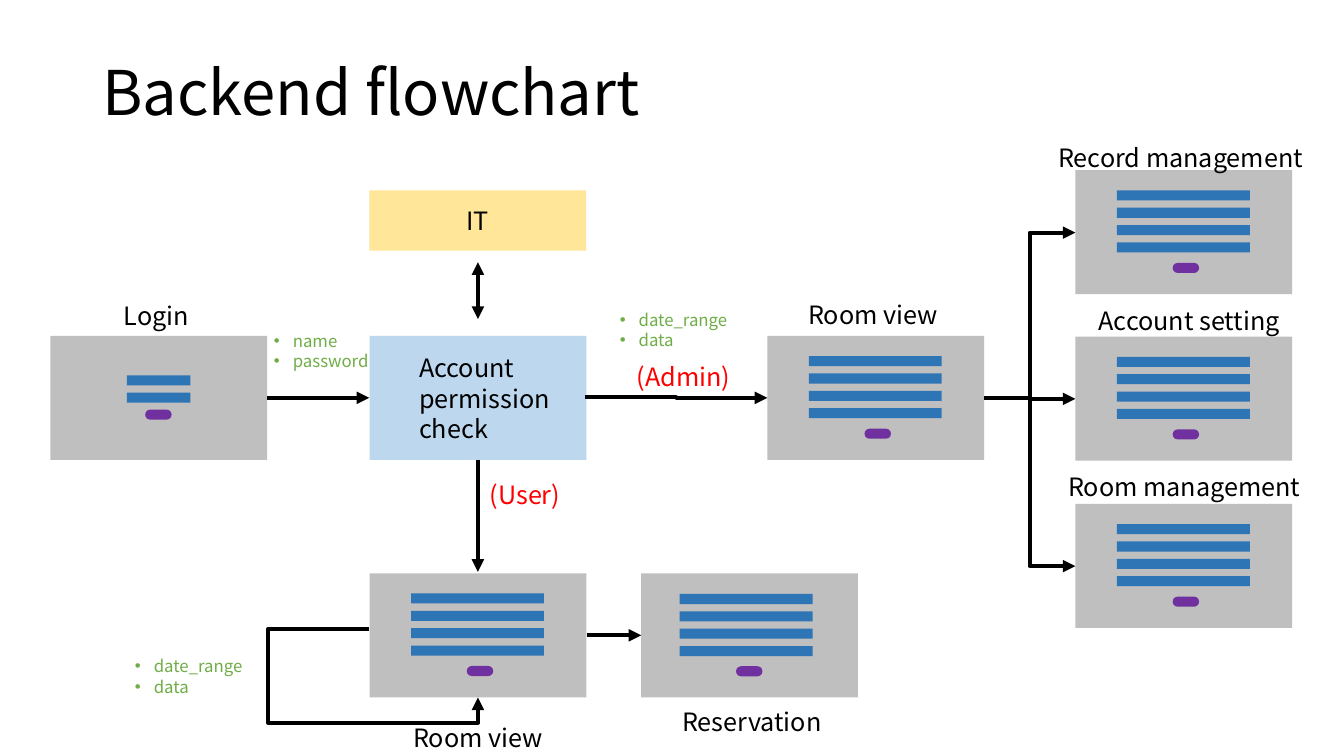
from dataclasses import dataclass

from lxml.etree import SubElement
from pptx import Presentation
from pptx.dml.color import RGBColor
from pptx.enum.shapes import MSO_CONNECTOR, MSO_SHAPE
from pptx.enum.text import MSO_ANCHOR, MSO_AUTO_SIZE, PP_ALIGN
from pptx.oxml.ns import qn
from pptx.util import Pt

FONT = "Noto Sans CJK SC"
BLACK, RED, GREEN = "000000", "FF0000", "70AD47"
GRAY, BLUE, PURPLE = "BFBFBF", "2E75B6", "7030A0"
WIDE, HIGH = 154.8, 88.6  # size of every screen
BAR, STEP = 7.2, 12.4  # height and pitch of the bars


@dataclass
class Form:
    left: float
    top: float
    width: float
    bars: int
    knob: tuple[float, float]


@dataclass
class Screen:
    left: float
    top: float
    form: Form


@dataclass
class Label:
    left: float
    top: float
    width: float
    lines: list[str]
    color: str = BLACK
    size: float = 18
    height: float = 28.8
    bullet: bool = False


@dataclass
class Arrow:
    start: tuple[float, float]
    end: tuple[float, float]
    bent: bool = False
    both: bool = False


def tint(code: str) -> RGBColor:
    return RGBColor.from_string(code)


def add_box(left: float, top: float, width: float, height: float,
            fill: str, kind=MSO_SHAPE.RECTANGLE):
    box = slide.shapes.add_shape(kind, Pt(left), Pt(top), Pt(width), Pt(height))
    box.shadow.inherit = False
    box.fill.solid()
    box.fill.fore_color.rgb = tint(fill)
    box.line.fill.background()
    return box


def add_run(para, text: str, size: float, color: str) -> None:
    run = para.add_run()
    run.text = text
    run.font.name = FONT
    run.font.size = Pt(size)
    run.font.color.rgb = tint(color)


def add_label(label: Label) -> None:
    box = slide.shapes.add_textbox(Pt(label.left), Pt(label.top),
                                   Pt(label.width), Pt(label.height))
    frame = box.text_frame
    frame.word_wrap = False
    frame.auto_size = MSO_AUTO_SIZE.SHAPE_TO_FIT_TEXT
    for i, line in enumerate(label.lines):
        para = frame.add_paragraph() if i else frame.paragraphs[0]
        add_run(para, line, label.size, label.color)
        if label.bullet:
            props = para._p.get_or_add_pPr()
            props.set("marL", str(Pt(13.5)))
            props.set("indent", str(-Pt(13.5)))
            SubElement(props, qn("a:buFont")).set("typeface", "Arial")
            SubElement(props, qn("a:buChar")).set("char", "•")


def add_screen(screen: Screen) -> None:
    form = screen.form
    add_box(screen.left, screen.top, WIDE, HIGH, GRAY)
    for i in range(form.bars):
        add_box(screen.left + form.left, screen.top + form.top + i * STEP,
                form.width, BAR, BLUE)
    right, down = form.knob
    knob = add_box(screen.left + right, screen.top + down, 18.9, BAR, PURPLE,
                   MSO_SHAPE.ROUNDED_RECTANGLE)
    knob.adjustments[0] = 0.5


def add_arrow(arrow: Arrow):
    kind = MSO_CONNECTOR.ELBOW if arrow.bent else MSO_CONNECTOR.STRAIGHT
    points = [Pt(v) for v in (*arrow.start, *arrow.end)]
    link = slide.shapes.add_connector(kind, *points)
    link.line.color.rgb = tint(BLACK)
    link.line.width = Pt(3)
    line = link.line._get_or_add_ln()
    if arrow.both:
        SubElement(line, qn("a:headEnd")).set("type", "triangle")
    SubElement(line, qn("a:tailEnd")).set("type", "triangle")
    SubElement(link._element.spPr, qn("a:effectLst"))
    return link


def add_loop(arrow: Arrow, bends: list[int]) -> None:
    geom = add_arrow(arrow)._element.spPr.find(qn("a:prstGeom"))
    geom.set("prst", "bentConnector4")
    guides = geom.find(qn("a:avLst"))
    if guides is None:
        guides = SubElement(geom, qn("a:avLst"))
    for i, bend in enumerate(bends, 1):
        guide = SubElement(guides, qn("a:gd"))
        guide.set("name", f"adj{i}")
        guide.set("fmla", f"val {bend}")


deck = Presentation()
deck.slide_width, deck.slide_height = Pt(960), Pt(540)
slide = deck.slides.add_slide(deck.slide_layouts[6])

# Title
title = slide.shapes.add_textbox(Pt(66), Pt(28.8), Pt(828), Pt(78.3)).text_frame
title.word_wrap = True
title.vertical_anchor = MSO_ANCHOR.MIDDLE
title.paragraphs[0].line_spacing = 0.9
add_run(title.paragraphs[0], "Backend flowchart", 44, BLACK)

# Screens
entry = Form(54.7, 28.1, 45.4, 2, (67.7, 52.6))
table = Form(29.6, 14.4, 95, 4, (69.4, 66.2))
booking = Form(27.5, 14.8, 95, 4, (67.7, 66.4))
for screen in (
    Screen(36, 240, entry),
    Screen(548.1, 240, table),
    Screen(768.2, 121.6, table),
    Screen(768.2, 240.5, table),
    Screen(768.2, 360, table),
    Screen(264, 409.5, table),
    Screen(458, 409.5, booking),
):
    add_screen(screen)

# Check and IT boxes
add_box(264, 240, WIDE, HIGH, "BDD7EE")
staff = add_box(263.8, 136, 155, 43, "FFE699").text_frame
staff.vertical_anchor = MSO_ANCHOR.MIDDLE
staff.paragraphs[0].alignment = PP_ALIGN.CENTER
add_run(staff.paragraphs[0], "IT", 18, BLACK)

# Arrows
fork = (702.9, 284.2)
for arrow in (
    Arrow((190.8, 284.2), (263.8, 284.2)),
    Arrow((417.8, 283.7), (548.1, 284.2), bent=True),
    Arrow((341.4, 328.5), (341.4, 408.5)),
    Arrow((419, 453.8), (458, 453.8)),
    Arrow((341.4, 187.3), (341.4, 227.8), both=True),
    Arrow(fork, (768.2, 166.2), bent=True),
    Arrow(fork, (768.2, 284.9), bent=True),
    Arrow(fork, (768.2, 404.4), bent=True),
):
    add_arrow(arrow)
add_loop(Arrow((263.8, 449.3), (341.4, 498.2), bent=True), [-93200, 136800])

# Labels
for label in (
    Label(81.4, 211, 63.4, ["Login"]),
    Label(292.3, 248.4, 115.2, ["Account", "permission", "check"], height=72.7),
    Label(342.7, 339.1, 66.2, ["(User)"], RED),
    Label(447.8, 254.2, 84.2, ["(Admin)"], RED),
    Label(570.2, 210.2, 110.9, ["Room view"]),
    Label(288, 512.6, 110.9, ["Room view"]),
    Label(480.2, 501.1, 116.6, ["Reservation"]),
    Label(748.8, 97.9, 196.6, ["Record management"]),
    Label(777.6, 214.6, 151.9, ["Account setting"]),
    Label(756, 333.4, 187.2, ["Room management"]),
):
    add_label(label)

# Field lists
for left, top, width, lines in (
    (188.6, 232.6, 82.8, ["name", "password"]),
    (89.3, 465.1, 92.9, ["date_range", "data"]),
    (435.6, 217.4, 92.9, ["date_range", "data"]),
):
    add_label(Label(left, top, width, lines, GREEN, 12, 36, bullet=True))

deck.save("out.pptx")
